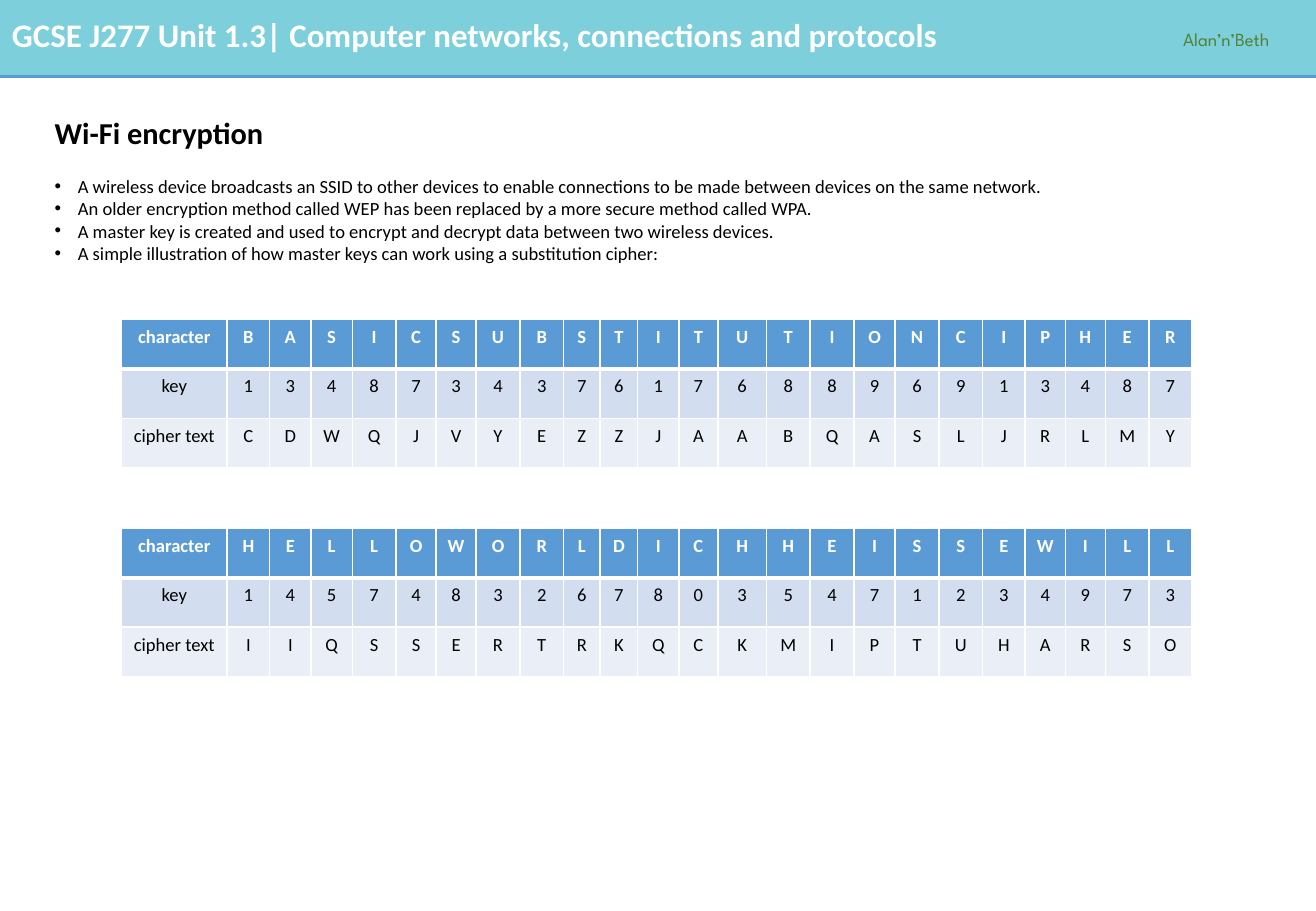
from dataclasses import dataclass

from lxml import etree
from pptx import Presentation
from pptx.dml.color import RGBColor
from pptx.enum.shapes import MSO_CONNECTOR, MSO_SHAPE
from pptx.enum.text import MSO_ANCHOR, MSO_AUTO_SIZE, PP_ALIGN
from pptx.oxml.ns import qn
from pptx.util import Inches, Pt

RECT, STRAIGHT = MSO_SHAPE.RECTANGLE, MSO_CONNECTOR.STRAIGHT
LEFT, CENTER = PP_ALIGN.LEFT, PP_ALIGN.CENTER
TOP, MIDDLE = MSO_ANCHOR.TOP, MSO_ANCHOR.MIDDLE
FIXED = MSO_AUTO_SIZE.NONE
WIDE, HIGH = Inches(10.83), Inches(7.5)


@dataclass(frozen=True)
class Theme:
    face: str = "Calibri"
    mark_face: str = "League Spartan"
    band: str = "7CCFDB"
    blue: str = "5B9BD5"
    green: str = "548235"
    white: str = "FFFFFF"
    black: str = "000000"
    rows: tuple = ("5B9BD5", "D2DEEF", "EAEFF7")
    unit: float = 19.5
    title: float = 18
    text: float = 11


THEME = Theme()
INDENT = Inches(0.19)

POINTS = (
    "A wireless device broadcasts an SSID to other devices to enable connections"
    " to be made between devices on the same network.",
    "An older encryption method called WEP has been replaced by a more secure"
    " method called WPA.",
    "A master key is created and used to encrypt and decrypt data between two"
    " wireless devices.",
    "A simple illustration of how master keys can work using a substitution cipher:",
)
LABELS = ("character", "key", "cipher text")
BASIC = ("BASICSUBSTITUTIONCIPHER", "13487343761768896913487",
         "CDWQJVYEZZJAABQASLJRLMY")
HELLO = ("HELLOWORLDICHHEISSEWILL", "14574832678035471234973",
         "IIQSSERTRKQCKMIPTUHARSO")
# Relative column widths: the label column, then one per letter
COLS = (87, 35, 34, 34, 36, 33, 33, 36, 36, 30, 31, 34, 32, 40, 36, 36, 34,
        36, 36, 35, 33, 33, 36, 35)


def share(left, top, wide, high):
    """Turn percentages of the slide into a box."""
    return (int(WIDE * left / 100), int(HIGH * top / 100),
            int(WIDE * wide / 100), int(HIGH * high / 100))


def assign(item, **values):
    for name, value in values.items():
        setattr(item, name, value)


def place(shape, box):
    assign(shape, **dict(zip(("left", "top", "width", "height"), box)))


def style(para, color, size=THEME.text, bold=False, face=THEME.face,
          align=LEFT, pitch=1.0):
    assign(para, alignment=align, line_spacing=pitch,
           space_before=Pt(0), space_after=Pt(0))
    assign(para.font, size=Pt(size), bold=bold, name=face)
    para.font.color.rgb = RGBColor.from_string(color)


def label(slide, box, text, wrap=True, **look):
    frame = slide.shapes.add_textbox(*box).text_frame
    assign(frame, word_wrap=wrap, text=text)
    style(frame.paragraphs[0], **look)


def header(slide, box):
    left, top, wide, high = box
    band = slide.shapes.add_shape(RECT, *box)
    band.shadow.inherit = False
    band.fill.solid()
    band.fill.fore_color.rgb = RGBColor.from_string(THEME.band)
    band.line.fill.background()

    base = top + high
    rule = slide.shapes.add_connector(STRAIGHT, left, base, left + wide, base)
    rule.line.width = Pt(2.25)
    rule.line.color.rgb = RGBColor.from_string(THEME.blue)
    etree.SubElement(rule._element.spPr, qn("a:effectLst"))

    label(slide, (left, top + int(high * 0.11), int(wide * 0.88), int(high * 0.68)),
          "GCSE J277 Unit 1.3| Computer networks, connections and protocols",
          color=THEME.white, size=THEME.unit, bold=True)
    start = int(wide * 0.89)
    label(slide, (left + start, top + int(high * 0.27), wide - start, int(high * 0.46)),
          "Alan’n’Beth", wrap=False, color=THEME.green,
          face=THEME.mark_face, pitch=1.07)


def heading(slide, box):
    title = slide.shapes.title
    place(title, box)
    assign(title.text_frame, text="Wi-Fi encryption", vertical_anchor=MIDDLE,
           auto_size=FIXED, word_wrap=True)
    style(title.text_frame.paragraphs[0], THEME.black, THEME.title, True, pitch=0.9)


def bullets(slide, box):
    body = slide.placeholders[1]
    place(body, box)
    frame = body.text_frame
    assign(frame, text="\n".join(POINTS), vertical_anchor=TOP,
           auto_size=FIXED, word_wrap=True)
    for para in frame.paragraphs:
        props = para._p.get_or_add_pPr()
        props.set("marL", str(INDENT))
        props.set("indent", str(-INDENT))
        etree.SubElement(props, qn("a:buFont"), typeface="Arial")
        etree.SubElement(props, qn("a:buChar"), char="•")
        style(para, THEME.black)


def border(cell, base):
    """Draw white cell edges, with the bottom one base points wide."""
    props = cell._tc.get_or_add_tcPr()
    for side, size in (("L", 1), ("R", 1), ("T", 1), ("B", base)):
        edge = etree.SubElement(props, qn(f"a:ln{side}"), w=str(Pt(size)))
        fill = etree.SubElement(edge, qn("a:solidFill"))
        etree.SubElement(fill, qn("a:srgbClr"), val=THEME.white)


def cipher(slide, box, lines):
    left, top, wide, high = box
    table = slide.shapes.add_table(len(LABELS), len(COLS), *box).table
    for col, part in zip(table.columns, COLS):
        col.width = int(wide * part / sum(COLS))
    for r, (name, line) in enumerate(zip(LABELS, lines)):
        table.rows[r].height = high // len(LABELS)
        head = r == 0
        for c, text in enumerate((name, *line)):
            cell = table.cell(r, c)
            assign(cell, text=text, margin_left=Inches(0.08),
                   margin_right=Inches(0.08))
            border(cell, 3 if head else 1)
            cell.fill.solid()
            cell.fill.fore_color.rgb = RGBColor.from_string(THEME.rows[r])
            style(cell.text_frame.paragraphs[0],
                  THEME.white if head else THEME.black, bold=head, align=CENTER)


def main():
    deck = Presentation()
    assign(deck, slide_width=WIDE, slide_height=HIGH)
    slide = deck.slides.add_slide(deck.slide_layouts[1])
    header(slide, share(0, 0, 100, 8.4))
    heading(slide, share(3.23, 11.07, 93.26, 7.47))
    bullets(slide, share(3.23, 18.53, 93.26, 11.2))
    for top, lines in ((35.07, BASIC), (58, HELLO)):
        cipher(slide, share(9.23, top, 81.35, 16.27), lines)
    deck.save("out.pptx")


if __name__ == "__main__":
    main()
